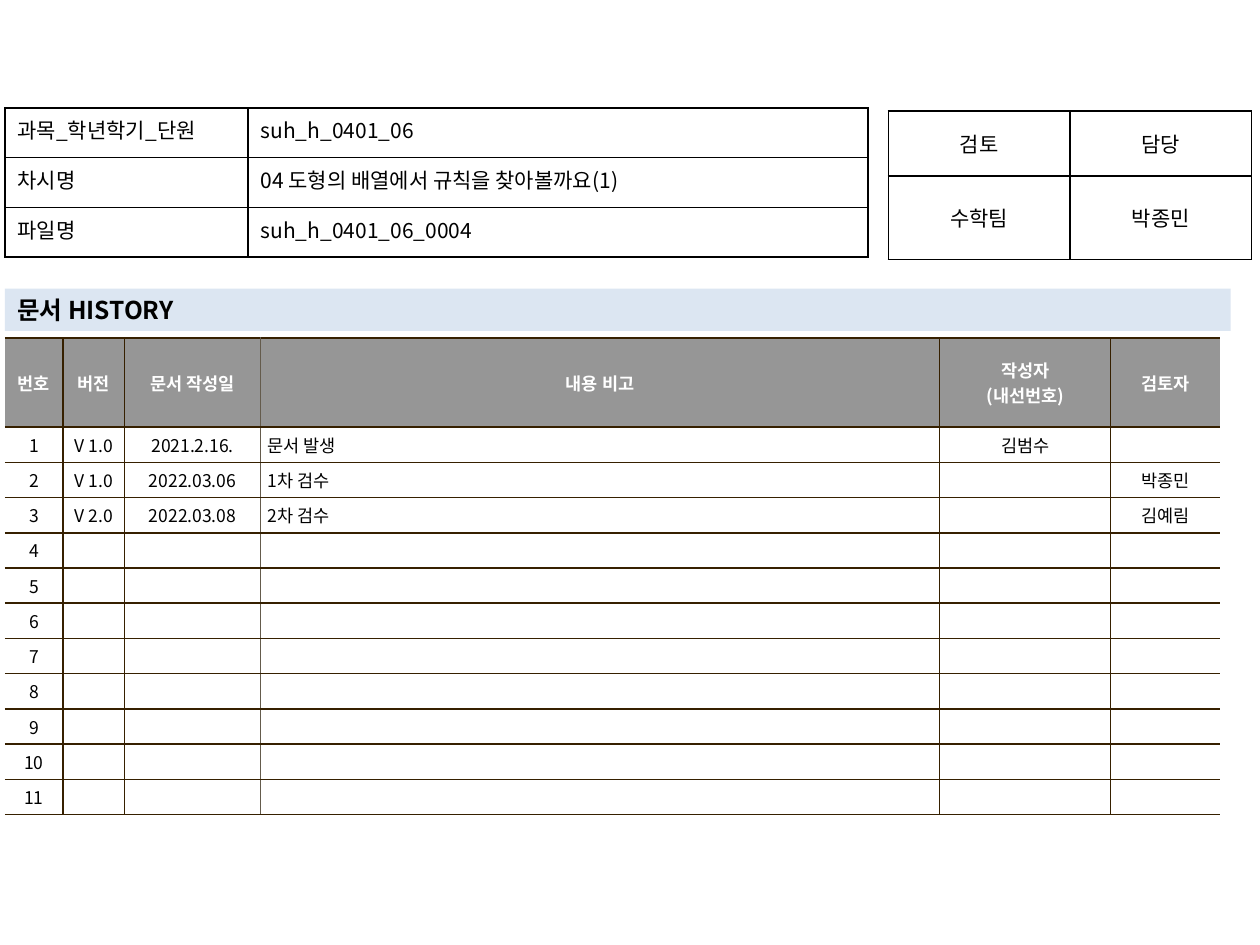
import pptx
import pptx.dml.color
import pptx.enum.shapes
import pptx.enum.text
import pptx.oxml.ns
import pptx.util
from lxml import etree

Cm, Pt = pptx.util.Cm, pptx.util.Pt
ALIGN = pptx.enum.text.PP_ALIGN
MIDDLE = pptx.enum.text.MSO_ANCHOR.MIDDLE
qn = pptx.oxml.ns.qn

FONT = "Noto Sans CJK KR"
BLACK, WHITE, GRAY, PALE_BLUE = "000000", "FFFFFF", "969696", "DCE6F2"
BROWN, TAUPE = "362000", "645B4C"
LEFT = 0.1

LESSON = [
    ["과목_학년학기_단원", "suh_h_0401_06"],
    ["차시명", "04 도형의 배열에서 규칙을 찾아볼까요(1)"],
    ["파일명", "suh_h_0401_06_0004"],
]
REVIEW = [["검토", "담당"], ["수학팀", "박종민"]]
TITLE = "문서 HISTORY"
HEADINGS = ["번호", "버전", "문서 작성일", "내용 비고", "작성자\n(내선번호)", "검토자"]
ENTRIES = [
    ["V 1.0", "2021.2.16.", "문서 발생", "김범수", ""],
    ["V 1.0", "2022.03.06", "1차 검수", "", "박종민"],
    ["V 2.0", "2022.03.08", "2차 검수", "", "김예림"],
]
ENTRY_COUNT = 11
NOTE_COLUMN = HEADINGS.index("내용 비고")


def rgb(value):
    return pptx.dml.color.RGBColor.from_string(value)


def write(frame, text, size=12, color=BLACK, bold=False, align=ALIGN.LEFT):
    """Fill a text frame, one paragraph per line; empty text still keeps its size."""
    for index, line in enumerate(text.split("\n")):
        para = frame.add_paragraph() if index else frame.paragraphs[0]
        para.alignment = align
        if not line:
            etree.SubElement(para._p, qn("a:endParaRPr"), sz=str(size * 100))
            continue
        span = para.add_run()
        span.text = line
        span.font.size = Pt(size)
        span.font.bold = bold
        span.font.name = FONT
        span.font.color.rgb = rgb(color)
        etree.SubElement(span._r.get_or_add_rPr(), qn("a:ea"), typeface=FONT)


def set_borders(cell, **colors):
    """Draw the sides L, R, T and B in 1 pt; a side given None has no line."""
    properties = cell._tc.get_or_add_tcPr()
    for index, side in enumerate("LRTB"):
        line = etree.Element(qn("a:ln" + side), w=str(Pt(1)))
        color = colors[side]
        if color:
            fill = etree.SubElement(line, qn("a:solidFill"))
            etree.SubElement(fill, qn("a:srgbClr"), val=color)
        else:
            etree.SubElement(line, qn("a:noFill"))
        properties.insert(index, line)


def add_grid(page, left, top, widths, heights):
    frame = page.shapes.add_table(len(heights), len(widths), Cm(left), Cm(top),
                                  Cm(sum(widths)), Cm(sum(heights)))
    table = frame.table
    table.first_row = table.horz_banding = False
    for column, width in zip(table.columns, widths):
        column.width = Cm(width)
    for row, height in zip(table.rows, heights):
        row.height = Cm(height)
    return table


def add_form(page, left, top, widths, heights, rows, centred=False):
    table = add_grid(page, left, top, widths, heights)
    for r, row in enumerate(rows):
        for c, text in enumerate(row):
            cell = table.cell(r, c)
            cell.fill.background()
            if centred:
                cell.vertical_anchor = MIDDLE
            write(cell.text_frame, text, align=ALIGN.CENTER if centred else ALIGN.LEFT)
            set_borders(cell, **dict.fromkeys("LRTB", BLACK))


def add_history(page):
    blank = [""] * (len(HEADINGS) - 1)
    entries = ENTRIES + [blank] * (ENTRY_COUNT - len(ENTRIES))
    rows = [HEADINGS] + [[str(n)] + entry for n, entry in enumerate(entries, 1)]
    widths = [1.17, 1.24, 2.74, 13.69, 3.45, 2.21]
    table = add_grid(page, LEFT, 6.81, widths, [1.8] + [0.71] * ENTRY_COUNT)
    # Vertical lines from the open left edge to the open right edge
    uprights = [None] + [BROWN] * (len(widths) - 1) + [None]
    uprights[NOTE_COLUMN] = TAUPE
    for r, row in enumerate(rows):
        heading = r == 0
        for c, text in enumerate(row):
            cell = table.cell(r, c)
            cell.fill.solid()
            cell.fill.fore_color.rgb = rgb(GRAY if heading else WHITE)
            cell.vertical_anchor = MIDDLE
            cell.margin_left = cell.margin_right = Cm(0.15)
            cell.margin_top = cell.margin_bottom = Cm(0.1)
            is_note = c == NOTE_COLUMN and not heading
            write(cell.text_frame, text, size=10, bold=heading,
                  color=WHITE if heading else BLACK,
                  align=ALIGN.LEFT if is_note else ALIGN.CENTER)
            set_borders(cell, L=uprights[c], R=uprights[c + 1], T=BROWN, B=BROWN)


def add_title(page):
    box = page.shapes.add_shape(pptx.enum.shapes.MSO_SHAPE.RECTANGLE,
                                Cm(LEFT), Cm(5.82), Cm(24.71), Cm(0.85))
    box.shadow.inherit = False
    box.fill.solid()
    box.fill.fore_color.rgb = rgb(PALE_BLUE)
    box.line.fill.background()
    box.text_frame.word_wrap = True
    box.text_frame.vertical_anchor = MIDDLE
    write(box.text_frame, TITLE, size=14, bold=True)


def main():
    deck = pptx.Presentation()
    deck.slide_width, deck.slide_height = Cm(25.4), Cm(19.05)
    page = deck.slides.add_slide(deck.slide_layouts[6])
    add_history(page)
    add_form(page, 17.91, 2.24, [3.66] * 2, [1.31, 1.68], REVIEW, centred=True)
    add_title(page)
    add_form(page, LEFT, 2.18, [4.9, 12.5], [1] * 3, LESSON)
    deck.save("out.pptx")


if __name__ == "__main__":
    main()
